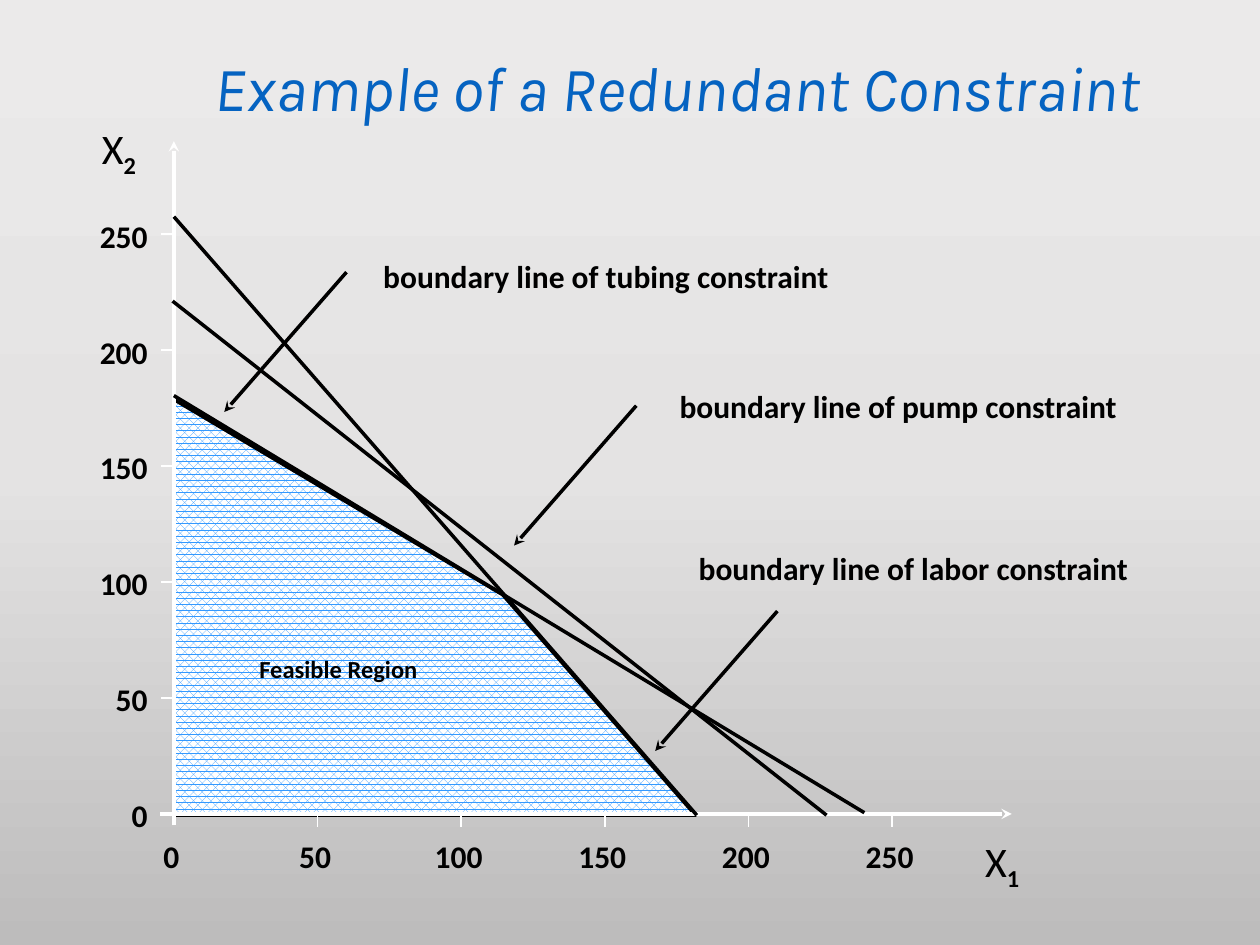
from copy import deepcopy
from dataclasses import dataclass

from lxml import etree
from pptx import Presentation
from pptx.dml.color import RGBColor
from pptx.enum.dml import MSO_PATTERN
from pptx.enum.shapes import MSO_CONNECTOR
from pptx.enum.text import MSO_ANCHOR, MSO_AUTO_SIZE, PP_ALIGN
from pptx.oxml.ns import qn
from pptx.slide import Slide
from pptx.text.text import _Paragraph
from pptx.util import Inches, Pt

STRAIGHT = MSO_CONNECTOR.STRAIGHT
LEFT, CENTER, RIGHT = PP_ALIGN.LEFT, PP_ALIGN.CENTER, PP_ALIGN.RIGHT
MIDDLE = MSO_ANCHOR.MIDDLE
GROW = MSO_AUTO_SIZE.SHAPE_TO_FIT_TEXT
DENSE_PATTERN = MSO_PATTERN.PERCENT_70

Point = tuple[float, float]


@dataclass(frozen=True)
class Theme:
    title_font: str = "Karla"
    body_font: str = "Calibri"
    title_color: RGBColor = RGBColor(0x05, 0x63, 0xC1)
    ink: RGBColor = RGBColor(0, 0, 0)
    axis: RGBColor = RGBColor(255, 255, 255)
    region: RGBColor = RGBColor(0x33, 0x99, 0xFF)
    background: tuple[str, ...] = ("EBEAEA", "E4E3E3", "BDBCBC")
    title_size: float = 36
    axis_size: float = 24
    label_size: float = 18
    region_size: float = 14
    heavy: float = 2
    thin: float = 1


@dataclass(frozen=True)
class Line:
    start: Point
    end: Point
    color: RGBColor
    width: float
    arrow: bool = False


@dataclass(frozen=True)
class Label:
    text: str
    left: float
    top: float
    width: float
    height: float = 0.4
    size: float = 18
    alignment: PP_ALIGN = LEFT
    bold: bool = True
    subscript: str = ""


THEME = Theme()
ORIGIN_X, ORIGIN_Y = 1.38, 6.46
STEP_X, STEP_Y = 1.14, 0.92
TICK = 0.1
VALUES = range(0, 251, 50)

AXES = [
    Line((1.27, ORIGIN_Y), (8.03, ORIGIN_Y), THEME.axis, THEME.heavy, True),
    Line((ORIGIN_X, 6.55), (ORIGIN_X, 1.12), THEME.axis, THEME.heavy, True),
]
BOUNDARIES = [
    Line(start, end, THEME.ink, THEME.heavy)
    for start, end in [
        ((1.38, 1.72), (5.53, 6.47)),
        ((1.37, 2.39), (6.56, 6.47)),
        ((1.38, 3.14), (6.86, 6.45)),
    ]
]
POINTERS = [
    Line((x, y), (x - 0.97, y + 1.11), THEME.ink, THEME.heavy, True)
    for x, y in [(2.75, 2.16), (5.05, 3.22), (6.17, 4.85)]
]
REGION = [(1.38, 3.17), (3.99, 4.72), (5.52, 6.47), (1.38, 6.47)]
LABELS = [
    Label("X", 0.71, 0.92, 1.08, 0.5, THEME.axis_size, bold=False, subscript="2"),
    Label("X", 7.72, 6.58, 1.08, 0.5, THEME.axis_size, bold=False, subscript="1"),
    Label("Feasible Region", 1.96, 5.14, 1.71, 0.33, THEME.region_size),
] + [
    Label(f"boundary line of {name} constraint", left, top, 4.7,
          size=THEME.label_size, alignment=CENTER)
    for name, left, top in [
        ("tubing", 2.46, 1.99), ("pump", 4.78, 3.02), ("labor", 4.9, 4.31),
    ]
]


def style_paragraph(paragraph: _Paragraph, name: str, size: float, color: RGBColor) -> None:
    paragraph.font.name = name
    paragraph.font.size = Pt(size)
    paragraph.font.color.rgb = color


def paint_background(slide: Slide) -> None:
    fill = slide.background.fill
    fill.gradient()
    fill.gradient_angle = 270
    stop_list = slide.element.find(f".//{qn('a:gsLst')}")
    stop_list.append(deepcopy(stop_list[0]))
    for stop, color, position in zip(fill.gradient_stops, THEME.background, (0, 0.5, 1)):
        stop.color.rgb = RGBColor.from_string(color)
        stop.position = position


def write_title(slide: Slide, text: str) -> None:
    title = slide.shapes.title
    title.left, title.top = Inches(1.33), Inches(0.35)
    title.width, title.height = Inches(8.09), Inches(0.67)
    frame = title.text_frame
    frame.text = text
    frame.vertical_anchor = MIDDLE
    paragraph = frame.paragraphs[0]
    paragraph.alignment = CENTER
    style_paragraph(paragraph, THEME.title_font, THEME.title_size, THEME.title_color)
    paragraph.font.italic = True


def draw_line(slide: Slide, line: Line) -> None:
    points = [Inches(value) for value in (*line.start, *line.end)]
    connector = slide.shapes.add_connector(STRAIGHT, *points)
    connector.line.color.rgb = line.color
    connector.line.width = Pt(line.width)
    if line.arrow:
        outline = connector.line._get_or_add_ln()
        etree.SubElement(outline, qn("a:tailEnd"), type="stealth")
    etree.SubElement(connector._element.spPr, qn("a:effectLst"))


def draw_label(slide: Slide, label: Label) -> None:
    box = slide.shapes.add_textbox(
        Inches(label.left), Inches(label.top), Inches(label.width), Inches(label.height))
    frame = box.text_frame
    frame.word_wrap = True
    frame.auto_size = GROW
    paragraph = frame.paragraphs[0]
    paragraph.alignment = label.alignment
    style_paragraph(paragraph, THEME.body_font, label.size, THEME.ink)
    paragraph.font.bold = label.bold
    paragraph.add_run().text = label.text
    if label.subscript:
        run = paragraph.add_run()
        run.text = label.subscript
        run.font.bold = True
        run._r.get_or_add_rPr().set("baseline", "-25000")


def draw_region(slide: Slide) -> None:
    points = [(Inches(x), Inches(y)) for x, y in REGION]
    builder = slide.shapes.build_freeform(*points[0])
    builder.add_line_segments(points[1:], close=True)
    shape = builder.convert_to_shape()
    shape.shadow.inherit = False
    shape.fill.patterned()
    shape.fill.pattern = DENSE_PATTERN
    shape.fill.fore_color.rgb = THEME.region
    shape.fill.back_color.rgb = THEME.axis
    shape.line.color.rgb = THEME.ink
    shape.line.width = Pt(THEME.heavy)


def draw_scales(slide: Slide) -> None:
    for index, value in enumerate(VALUES):
        x = ORIGIN_X + index * STEP_X
        y = ORIGIN_Y - index * STEP_Y
        if index:
            draw_line(slide, Line((x, ORIGIN_Y), (x, ORIGIN_Y + TICK), THEME.axis, THEME.thin))
            draw_line(slide, Line((ORIGIN_X, y), (ORIGIN_X - TICK, y), THEME.axis, THEME.thin))
        draw_label(slide, Label(str(value), x - 0.33, 6.59, 0.62,
                                size=THEME.label_size, alignment=CENTER))
        draw_label(slide, Label(str(value), 0.65, y - 0.19, 0.62,
                                size=THEME.label_size, alignment=RIGHT))


def main() -> None:
    presentation = Presentation()
    presentation.slide_width, presentation.slide_height = Inches(10), Inches(7.5)
    slide = presentation.slides.add_slide(presentation.slide_layouts[5])
    paint_background(slide)
    write_title(slide, "Example of a Redundant Constraint")
    draw_region(slide)
    for line in AXES:
        draw_line(slide, line)
    draw_scales(slide)
    for line in BOUNDARIES + POINTERS:
        draw_line(slide, line)
    for label in LABELS:
        draw_label(slide, label)
    presentation.save("out.pptx")


if __name__ == "__main__":
    main()
